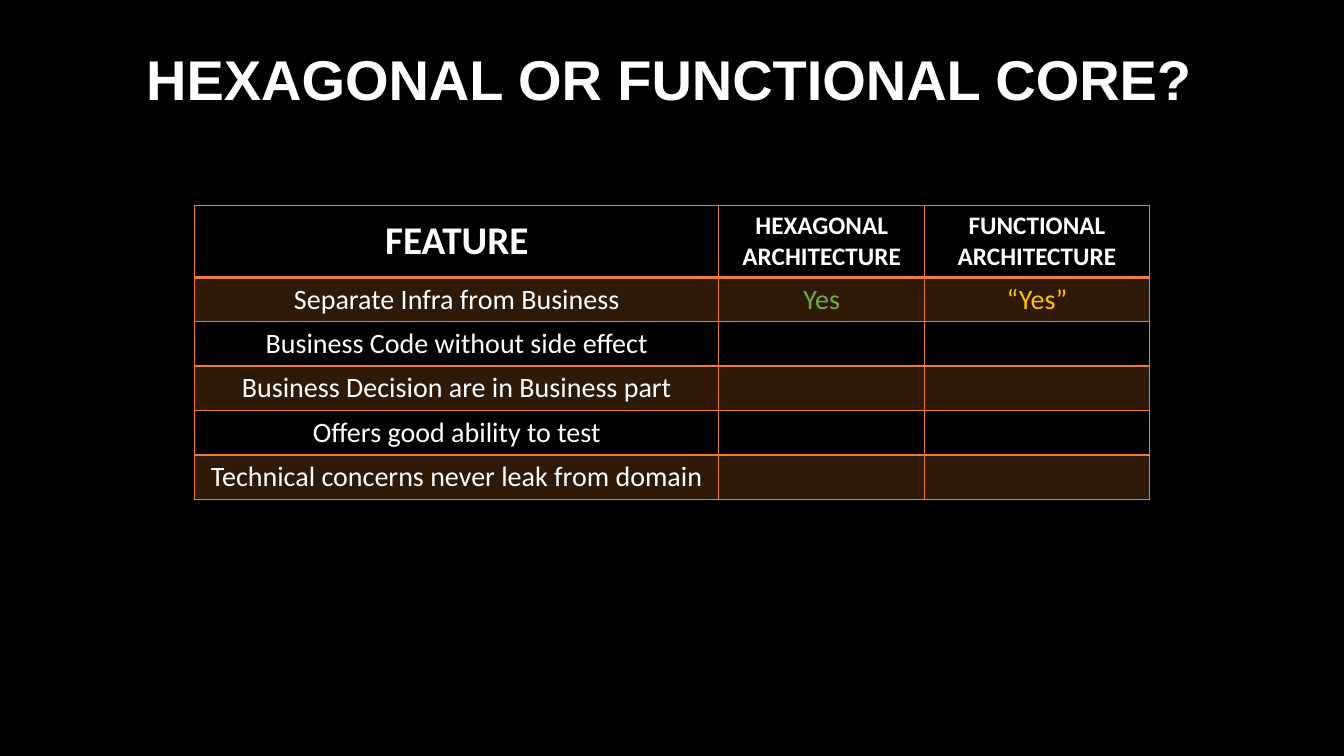
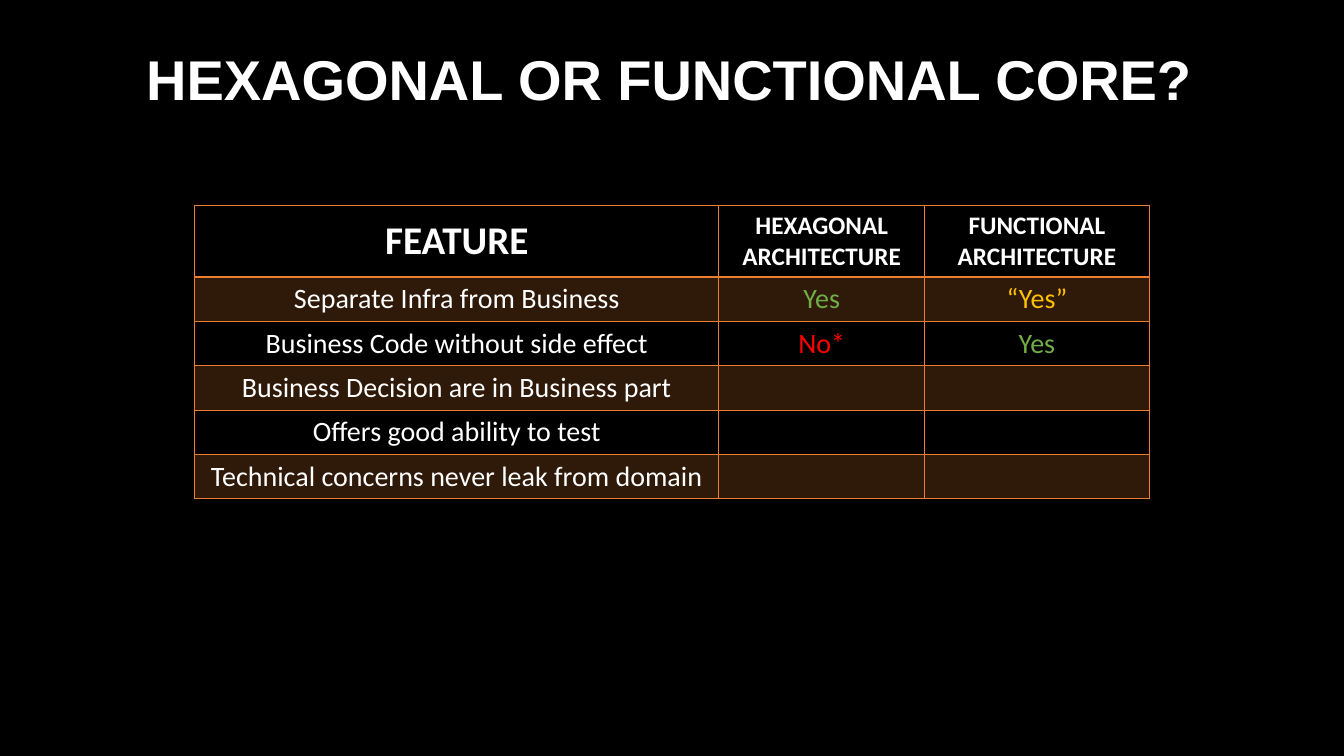
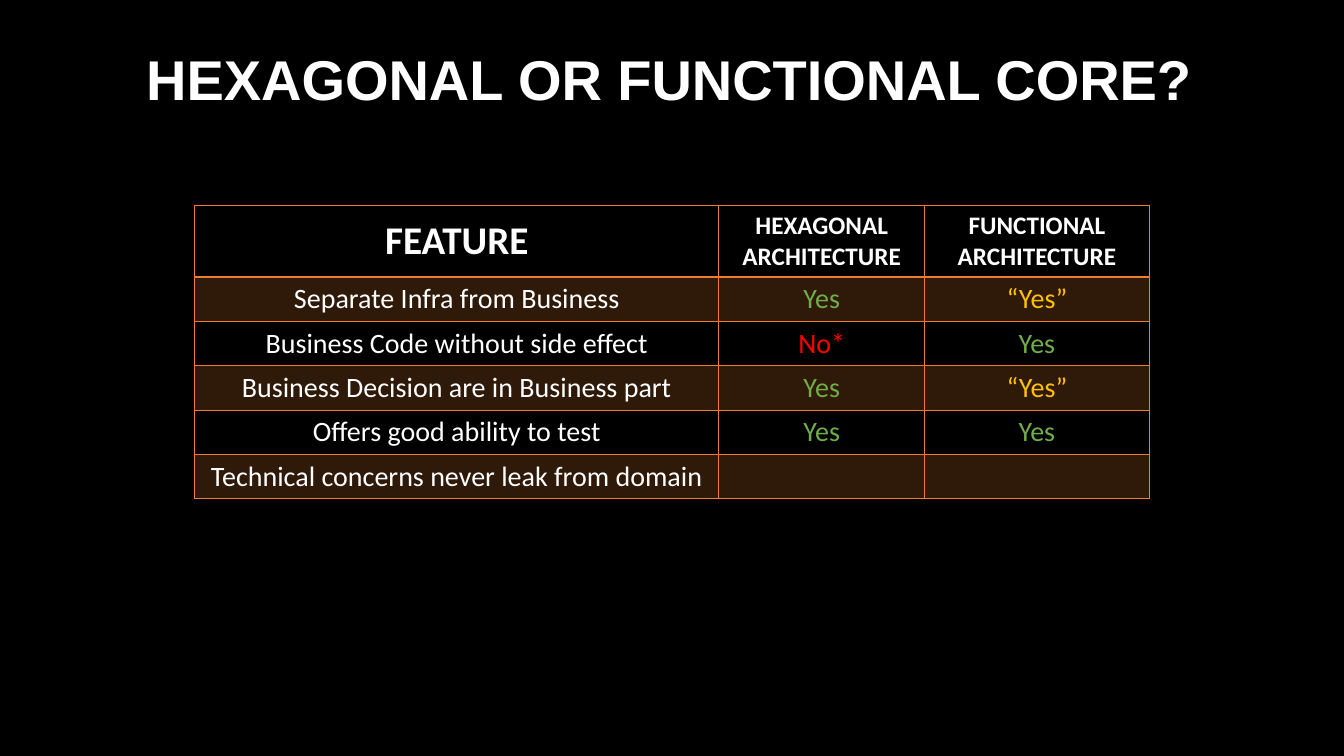
import pptx
import pptx.dml.color
import pptx.enum.text
import pptx.oxml
import pptx.oxml.ns
import pptx.util
from pptx.util import Inches

RGBColor = pptx.dml.color.RGBColor
BLACK = RGBColor(0x00, 0x00, 0x00)
WHITE = RGBColor(0xFF, 0xFF, 0xFF)
ORANGE = RGBColor(0xED, 0x7D, 0x31)
GREEN = RGBColor(0x70, 0xAD, 0x47)
AMBER = RGBColor(0xFF, 0xC0, 0x00)
RED = RGBColor(0xFF, 0x00, 0x00)

TITLE = "HEXAGONAL OR FUNCTIONAL CORE?"
HEADS = ["FEATURE", "HEXAGONAL ARCHITECTURE", "FUNCTIONAL ARCHITECTURE"]
ROWS = [
    ("Separate Infra from Business", "Yes", "“Yes”"),
    ("Business Code without side effect", "No*", "Yes"),
    ("Business Decision are in Business part", "Yes", "“Yes”"),
    ("Offers good ability to test", "Yes", "Yes"),
    ("Technical concerns never leak from domain", "", ""),
]
TINTS = {"Yes": GREEN, "“Yes”": AMBER, "No*": RED}
SHOWN = [1, 2, 4]  # answered rows on each slide
WIDTHS = [5.2, 2.04, 2.23]
HEAD_H, ROW_H = 0.71, 0.44


def style(frame, font, size, color, bold):
    """Centre the text and format its runs."""
    for para in frame.paragraphs:
        para.alignment = pptx.enum.text.PP_ALIGN.CENTER
        for run in para.runs:
            run.font.name = font
            run.font.size = pptx.util.Pt(size)
            run.font.color.rgb = color
            run.font.bold = bold


def add_title(slide):
    box = slide.shapes.add_textbox(
        Inches(0.15), Inches(0.39), Inches(12.97), Inches(0.74))
    box.text_frame.word_wrap = True
    box.text_frame.text = TITLE
    style(box.text_frame, "Arial", 40, WHITE, True)


def set_edges(cell, top, bottom):
    """Draw the four orange edges; top and bottom widths in points."""
    props = cell._tc.get_or_add_tcPr()
    edges = {"lnL": 1, "lnR": 1, "lnT": top, "lnB": bottom}
    for index, (tag, width) in enumerate(edges.items()):
        props.insert(index, pptx.oxml.parse_xml(
            f'<a:{tag} {pptx.oxml.ns.nsdecls("a")} w="{pptx.util.Pt(width)}">'
            f'<a:solidFill><a:srgbClr val="{ORANGE}"/></a:solidFill>'
            f'</a:{tag}>'))


def set_fill(cell, band):
    """Tint a banded cell with 20% orange, leave the others clear."""
    if not band:
        cell.fill.background()
        return
    cell.fill.solid()
    cell.fill.fore_color.rgb = ORANGE
    tint = cell._tc.tcPr.find(".//" + pptx.oxml.ns.qn("a:srgbClr"))
    tint.append(pptx.oxml.parse_xml(
        f'<a:alpha {pptx.oxml.ns.nsdecls("a")} val="20000"/>'))


def add_grid(slide, shown):
    rows = [HEADS] + [row if i < shown else (row[0], "", "")
                      for i, row in enumerate(ROWS)]
    grid = slide.shapes.add_table(
        len(rows), len(HEADS), Inches(1.93), Inches(2.04),
        Inches(sum(WIDTHS)), Inches(HEAD_H + ROW_H * len(ROWS))).table
    grid.first_row = grid.horz_banding = False
    for col, width in zip(grid.columns, WIDTHS):
        col.width = Inches(width)
    for r, row in enumerate(rows):
        grid.rows[r].height = Inches(ROW_H if r else HEAD_H)
        for c, text in enumerate(row):
            cell = grid.cell(r, c)
            cell.text_frame.text = text
            if r == 0:
                cell.vertical_anchor = pptx.enum.text.MSO_ANCHOR.MIDDLE
                size = 18 if c else 28
            else:
                size = 20
            style(cell.text_frame, "Calibri", size,
                  TINTS.get(text, WHITE), r == 0)
            set_fill(cell, r % 2 == 1)
            set_edges(cell, 2 if r == 1 else 1, 2 if r == 0 else 1)


def main():
    deck = pptx.Presentation()
    deck.slide_width, deck.slide_height = Inches(13.33), Inches(7.5)

    # Shared black background
    back = deck.slide_master.background.fill
    back.solid()
    back.fore_color.rgb = BLACK

    # One slide for each stage of the answers
    for shown in SHOWN:
        slide = deck.slides.add_slide(deck.slide_layouts[6])
        add_grid(slide, shown)
        add_title(slide)
    deck.save("out.pptx")


if __name__ == "__main__":
    main()
